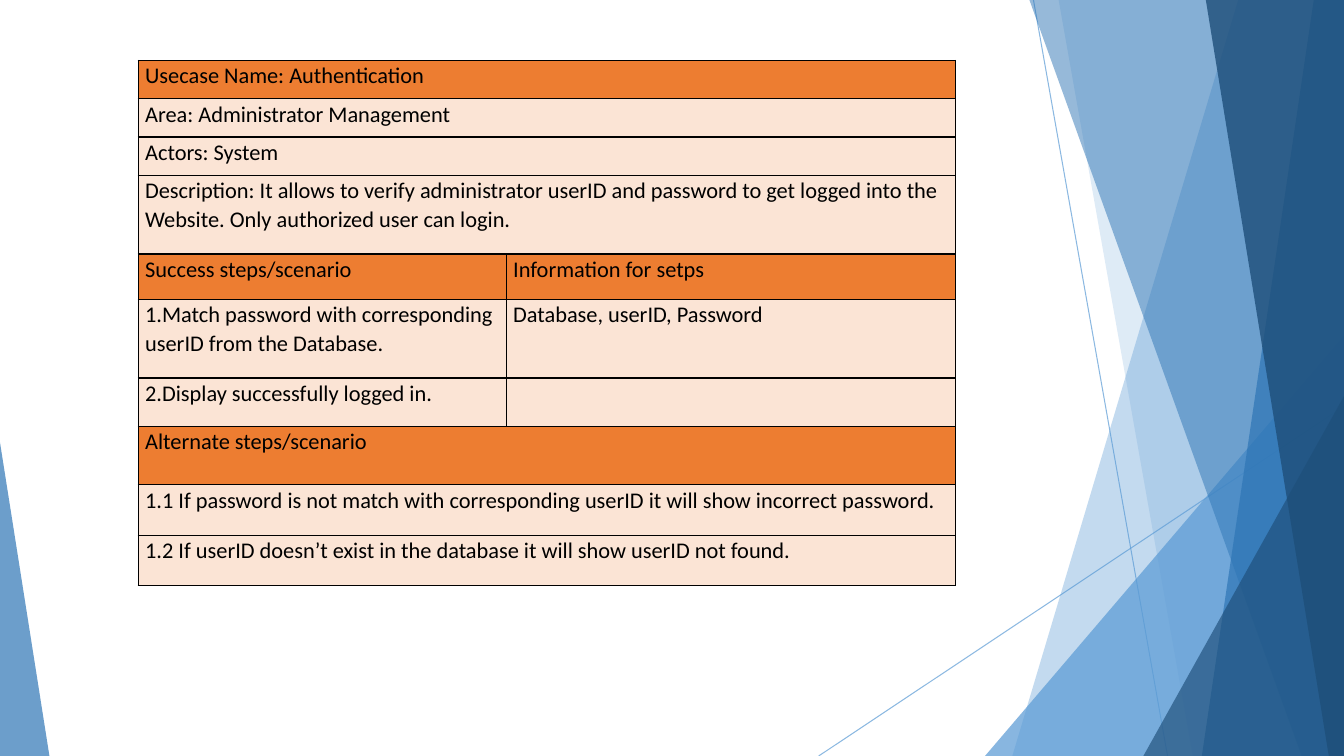
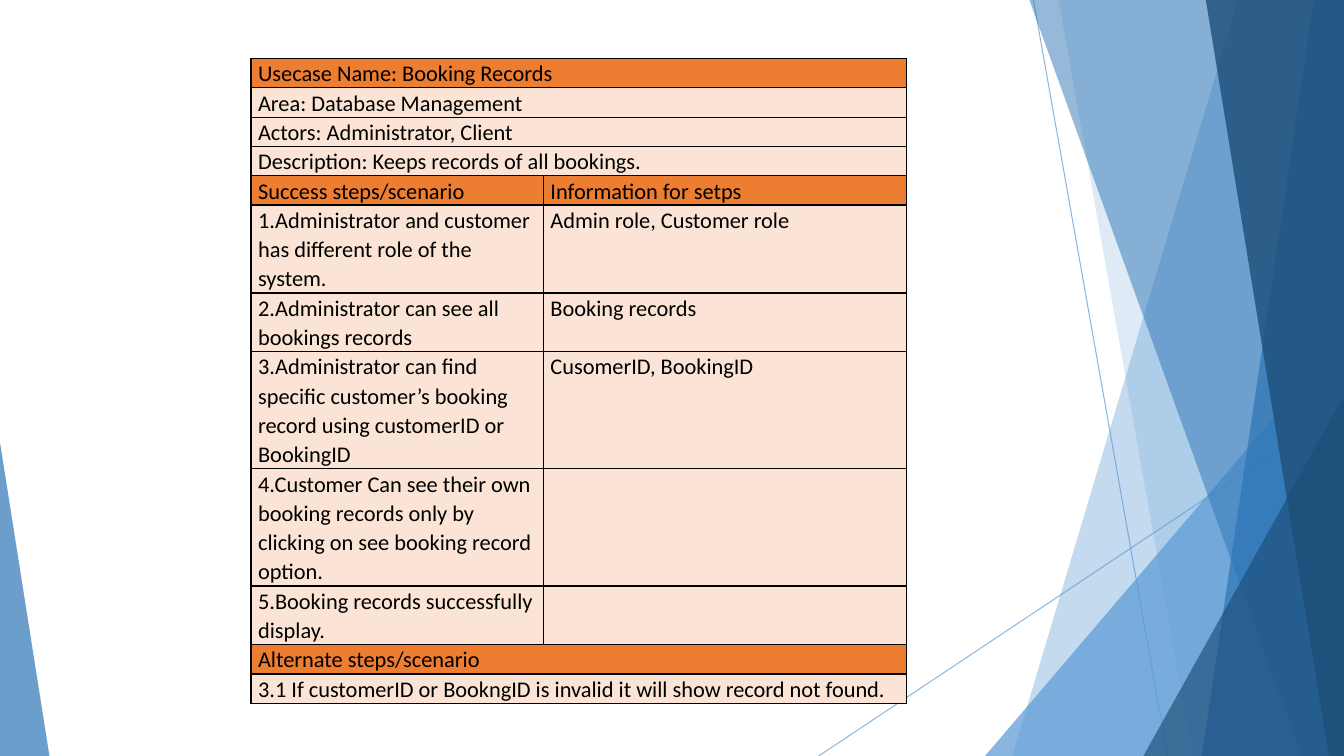
from dataclasses import dataclass
from lxml.etree import SubElement
from pptx import Presentation
from pptx.dml.color import RGBColor
from pptx.enum.shapes import MSO_CONNECTOR, MSO_SHAPE
from pptx.oxml import parse_xml
from pptx.oxml.ns import nsdecls, qn
from pptx.util import Inches, Pt


@dataclass(frozen=True)
class Theme:
    font: str = "Calibri"
    text_size: int = 16
    line_spacing: float = 1.07
    text: str = "000000"
    heading: str = "ED7D31"
    body: str = "FBE4D5"
    light: str = "5B9BD5"
    mid: str = "2E75B5"
    dark: str = "1E4E79"
    ray_width: float = 0.75
    border_width: float = 1
    cell_inset: float = 0.07


THEME = Theme()
WIDTH, HEIGHT = 13.33, 7.5
LINE_HEIGHT = 0.29

RAYS = [((10.25, 0), (11.58, HEIGHT)), ((WIDTH, 4.03), (8.12, HEIGHT))]
RAY_OPACITY = 70

# Each band runs from its top x to its bottom x and fills to the right edge.
BACKDROP = [
    ("band", (12.28, 10.04), THEME.light, 36),
    ("band", (10.5, 11.83), THEME.light, 20),
    ("peak", (9.77, 3.33, 3.56, 1), THEME.light, 72),
    ("band", (10.21, 12.91), THEME.mid, 50),
    ("band", (13.03, 11.92), THEME.mid, 70),
    ("band", (11.96, 13.18), THEME.dark, 80),
    ("peak", (11.34, 3.93, 1.99, 1), THEME.dark, 66),
    ("peak", (0, 4.39, 0.49, 0), THEME.mid, 70),
]

STEPS_HEADING = ("Success steps/scenario", "Information for setps")
ALTERNATE_HEADING = ("Alternate steps/scenario",)

USE_CASES = [
    {
        "at": (1.37, 0.6),
        "columns": (3.65, 4.46),
        "heights": (0.38, 0.38, 0.38, 0.78, 0.45, 0.78, 0.48, 0.58, 0.5, 0.5),
        "rows": [
            ("Usecase Name: Authentication",),
            ("Area: Administrator Management",),
            ("Actors: System",),
            ("Description: It allows to verify administrator userID and password "
             "to get logged into the Website. Only authorized user can login.",),
            STEPS_HEADING,
            ("1.Match password with corresponding userID from the Database.",
             "Database, userID, Password"),
            ("2.Display successfully logged in.", ""),
            ALTERNATE_HEADING,
            ("1.1 If password is not match with corresponding userID it will show "
             "incorrect password.",),
            ("1.2 If userID doesn’t exist in the database it will show userID "
             "not found.",),
        ],
    },
    {
        "at": (2.49, 0.58),
        "columns": (2.9, 3.6),
        "heights": [LINE_HEIGHT * lines
                    for lines in (1, 1, 1, 1, 1, 3, 2, 4, 4, 2, 1, 1)],
        "rows": [
            ("Usecase Name: Booking Records",),
            ("Area: Database Management",),
            ("Actors: Administrator, Client",),
            ("Description: Keeps records of all bookings.",),
            STEPS_HEADING,
            ("1.Administrator and customer has different role of the system.",
             "Admin role, Customer role"),
            ("2.Administrator can see all bookings records", "Booking records"),
            ("3.Administrator can find specific customer’s booking record using "
             "customerID or BookingID", "CusomerID, BookingID"),
            ("4.Customer Can see their own booking records only by clicking on "
             "see booking record option.", ""),
            ("5.Booking records successfully display.", ""),
            ALTERNATE_HEADING,
            ("3.1 If customerID or BookngID is invalid it will show record "
             "not found.",),
        ],
    },
]


def rgb(color):
    return RGBColor.from_string(color)


def set_opacity(shape, percent):
    for color in shape._element.spPr.iter(qn("a:srgbClr")):
        SubElement(color, qn("a:alpha"), val=str(percent * 1000))


def add_ray(shapes, start, end):
    ray = shapes.add_connector(
        MSO_CONNECTOR.STRAIGHT, *[Inches(value) for value in (*start, *end)])
    ray.line.color.rgb = rgb(THEME.light)
    ray.line.width = Pt(THEME.ray_width)
    set_opacity(ray, RAY_OPACITY)
    SubElement(ray._element.spPr, qn("a:effectLst"))
    return ray


def add_band(shapes, top_x, bottom_x):
    corners = [(top_x, 0), (WIDTH, 0), (WIDTH, HEIGHT), (bottom_x, HEIGHT)]
    start, *others = [(Inches(x), Inches(y)) for x, y in corners]
    outline = shapes.build_freeform(*start)
    outline.add_line_segments(others, close=True)
    return outline.convert_to_shape()


def add_peak(shapes, left, top, width, tip):
    peak = shapes.add_shape(
        MSO_SHAPE.ISOSCELES_TRIANGLE, Inches(left), Inches(top),
        Inches(width), Inches(HEIGHT - top))
    peak.adjustments[0] = tip
    return peak


def add_backdrop(slide, layout):
    builders = {"band": add_band, "peak": add_peak}
    parts = [add_ray(slide.shapes, *ends) for ends in RAYS]
    for kind, geometry, color, opacity in BACKDROP:
        facet = builders[kind](slide.shapes, *geometry)
        facet.shadow.inherit = False
        facet.fill.solid()
        facet.fill.fore_color.rgb = rgb(color)
        facet.line.fill.background()
        set_opacity(facet, opacity)
        parts.append(facet)
    for part in parts:
        layout.shapes._spTree.append(part._element)


def add_borders(cell):
    properties = cell._tc.get_or_add_tcPr()
    for index, side in enumerate(("lnL", "lnR", "lnT", "lnB")):
        properties.insert(index, parse_xml(
            f'<a:{side} {nsdecls("a")} w="{Pt(THEME.border_width)}">'
            f'<a:solidFill><a:srgbClr val="{THEME.text}"/></a:solidFill>'
            f'</a:{side}>'))


def format_cell(cell, color):
    cell.margin_left = cell.margin_right = Inches(THEME.cell_inset)
    cell.margin_top = cell.margin_bottom = 0
    cell.fill.solid()
    cell.fill.fore_color.rgb = rgb(color)
    add_borders(cell)
    paragraph = cell.text_frame.paragraphs[0]
    paragraph.line_spacing = THEME.line_spacing
    paragraph.font.name = THEME.font
    paragraph.font.size = Pt(THEME.text_size)
    paragraph.font.color.rgb = rgb(THEME.text)


def add_use_case(slide, use_case):
    rows, columns, heights = (use_case[key] for key in ("rows", "columns", "heights"))
    left, top = use_case["at"]
    table = slide.shapes.add_table(
        len(rows), len(columns), Inches(left), Inches(top),
        Inches(sum(columns)), Inches(sum(heights))).table
    table.first_row = table.horz_banding = False
    for column, width in zip(table.columns, columns):
        column.width = Inches(width)
    for index, (texts, height) in enumerate(zip(rows, heights)):
        table.rows[index].height = Inches(height)
        is_heading = index == 0 or texts in (STEPS_HEADING, ALTERNATE_HEADING)
        cells = [table.cell(index, column) for column in range(len(columns))]
        for cell, text in zip(cells, texts):
            cell.text = text
        for cell in cells:
            format_cell(cell, THEME.heading if is_heading else THEME.body)
        if len(texts) == 1:
            cells[0].merge(cells[-1])


def main():
    deck = Presentation()
    deck.slide_width, deck.slide_height = Inches(WIDTH), Inches(HEIGHT)
    layout = deck.slide_layouts.get_by_name("Blank")
    slides = [deck.slides.add_slide(layout) for _ in USE_CASES]
    add_backdrop(slides[0], layout)
    for slide, use_case in zip(slides, USE_CASES):
        add_use_case(slide, use_case)
    deck.save("out.pptx")


if __name__ == "__main__":
    main()
